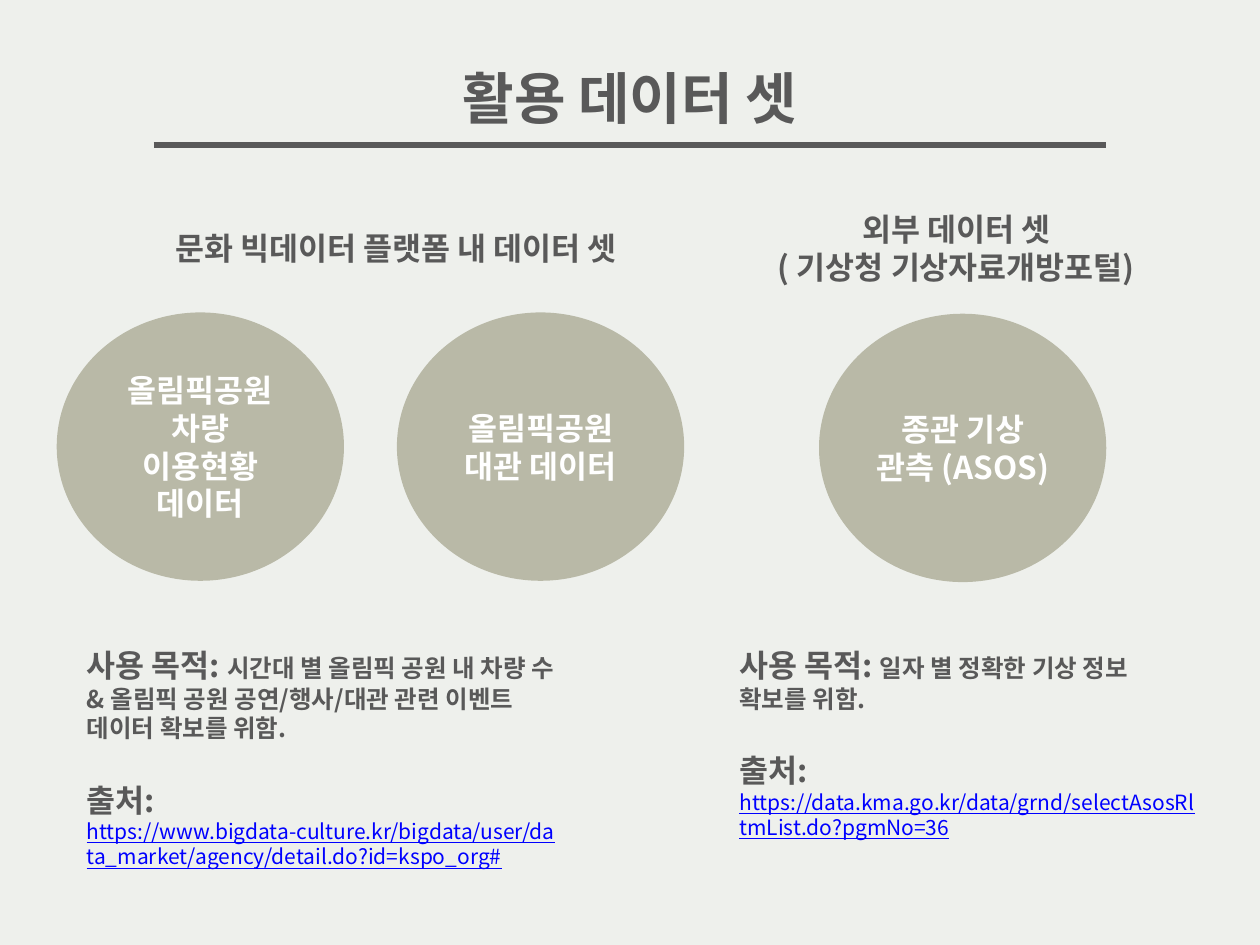
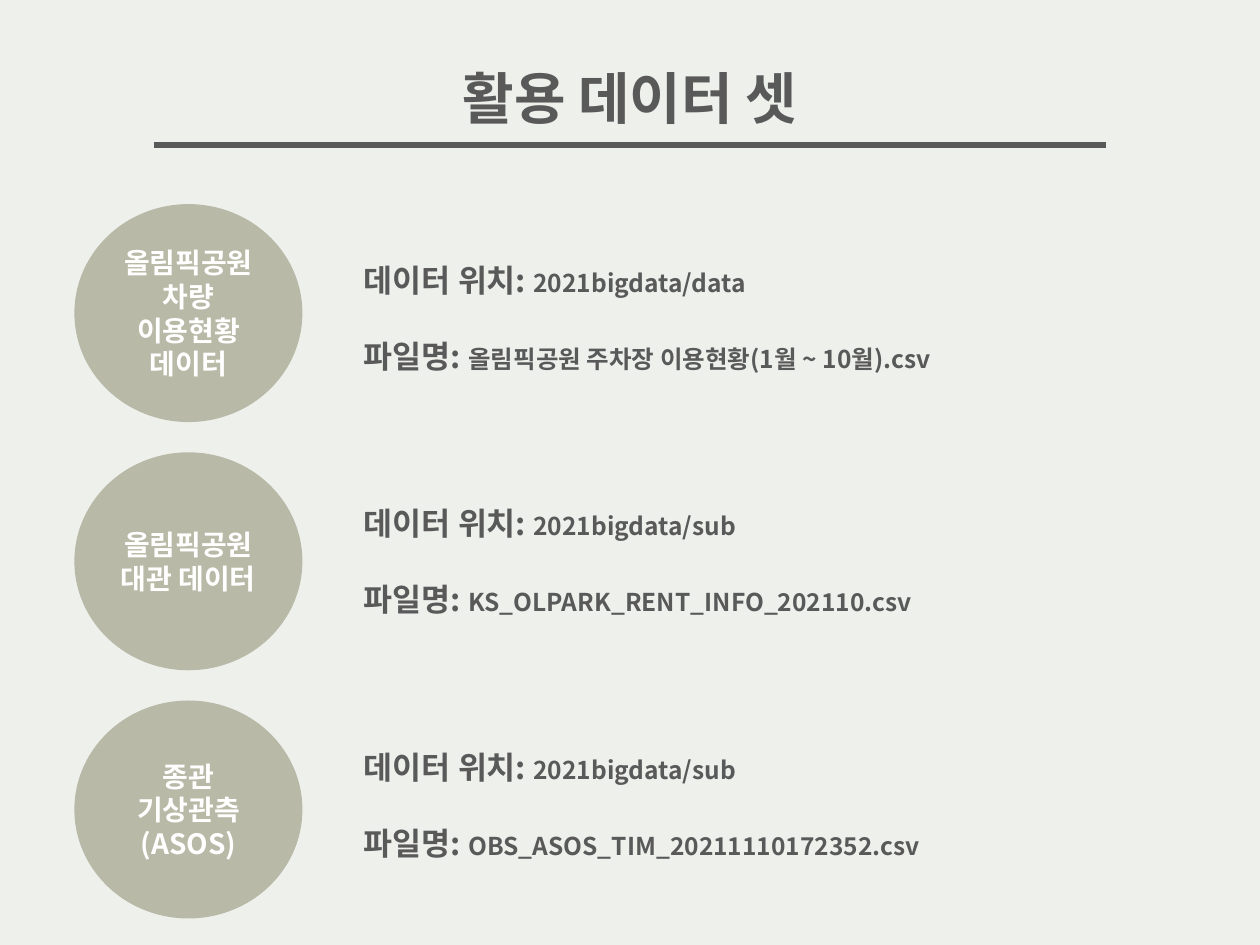
from dataclasses import dataclass
from typing import NamedTuple

from lxml.etree import SubElement
from pptx import Presentation
from pptx.dml.color import RGBColor as Rgb
from pptx.enum.shapes import MSO_CONNECTOR as Line, MSO_SHAPE as Shape
from pptx.enum.text import MSO_ANCHOR as Anchor, MSO_AUTO_SIZE as Fit, PP_ALIGN as Align
from pptx.oxml.ns import qn
from pptx.util import Pt

PX = 9144  # 100 px to the inch


@dataclass(frozen=True)
class Theme:
    font: str = "Noto Sans CJK KR"
    back: Rgb = Rgb(0xEE, 0xF0, 0xEC)
    ink: Rgb = Rgb(0x59, 0x59, 0x59)
    circle: Rgb = Rgb(0xB9, 0xB9, 0xA7)
    white: Rgb = Rgb(0xFF, 0xFF, 0xFF)
    link: Rgb = Rgb(0x00, 0x00, 0xFF)
    title: int = 32
    head: int = 18
    small_circle: int = 16
    body: int = 14
    url: int = 12
    rule: int = 3
    gap: float = 21.7


T = Theme()


class Style(NamedTuple):
    size: int
    color: Rgb = T.ink
    bold: bool = True
    underline: bool | None = None


TITLE = Style(T.title)
HEAD = Style(T.head)
BODY = Style(T.body)
URL = Style(T.url, T.link, False, True)
CIRCLE = Style(T.head, T.white)
SMALL_CIRCLE = Style(T.small_circle, T.white)


class Run(NamedTuple):
    text: str
    style: Style


class Box(NamedTuple):
    left: int
    top: int
    width: int
    height: int

    def emu(self) -> list[int]:
        return [v * PX for v in self]


class Circle(NamedTuple):
    box: Box
    lines: list[str]


class Heading(NamedTuple):
    box: Box
    lines: list[str]


class Source(NamedTuple):
    box: Box
    purpose: str
    url: str


class DataFile(NamedTuple):
    label: list[str]
    folder: str
    name: str


Paragraphs = list[list[Run]]

DATASET_CIRCLES = [
    Circle(Box(45, 248, 228, 213), ["올림픽공원 차량 이용현황 데이터"]),
    Circle(Box(315, 248, 228, 213), ["올림픽공원 대관 데이터"]),
    Circle(Box(650, 249, 228, 213), ["종관 기상", "관측 (ASOS)"]),
]
HEADINGS = [
    Heading(Box(101, 177, 427, 40), ["문화 빅데이터 플랫폼 내 데이터 셋"]),
    Heading(Box(592, 162, 334, 71), ["외부 데이터 셋", "( 기상청 기상자료개방포털)"]),
]
SOURCES = [
    Source(Box(59, 508, 397, 188),
           "시간대 별 올림픽 공원 내 차량 수 & 올림픽 공원 공연/행사/대관 관련 "
           "이벤트 데이터 확보를 위함.",
           "https://www.bigdata-culture.kr/bigdata/user/data_market/agency/"
           "detail.do?id=kspo_org#"),
    Source(Box(577, 508, 384, 165),
           "일자 별 정확한 기상 정보 확보를 위함.",
           "https://data.kma.go.kr/data/grnd/selectAsosRltmList.do?pgmNo=36"),
]
FILES = [
    DataFile(["올림픽공원 차량 이용현황 데이터"], "2021bigdata/data",
             "올림픽공원 주차장 이용현황(1월 ~ 10월).csv"),
    DataFile(["올림픽공원 대관 데이터"], "2021bigdata/sub",
             "KS_OLPARK_RENT_INFO_202110.csv"),
    DataFile(["종관", "기상관측 (ASOS)"], "2021bigdata/sub",
             "OBS_ASOS_TIM_20211110172352.csv"),
]


def set_all(target, values: dict) -> None:
    for name, value in values.items():
        setattr(target, name, value)


def write(tf, paragraphs: Paragraphs, align=Align.LEFT, gap: float = 0, **frame) -> None:
    """Fill a text frame; gap is the space in points between paragraphs."""
    set_all(tf, {"word_wrap": True, "vertical_anchor": Anchor.TOP, **frame})
    for i, runs in enumerate(paragraphs):
        p = tf.add_paragraph() if i else tf.paragraphs[0]
        p.alignment = align
        p.space_before = Pt(gap if i else 0)
        for text, style in runs:
            r = p.add_run()
            r.text = text
            set_all(r.font, {"name": T.font, "size": Pt(style.size),
                             "bold": style.bold, "underline": style.underline})
            r.font.color.rgb = style.color
            SubElement(r._r.get_or_add_rPr(), qn("a:ea"), typeface=T.font)


def one_style(lines: list[str], style: Style) -> Paragraphs:
    return [[Run(line, style)] for line in lines]


def add_text(s, box: Box, paragraphs: Paragraphs, **options) -> None:
    tf = s.shapes.add_textbox(*box.emu()).text_frame
    write(tf, paragraphs, auto_size=Fit.SHAPE_TO_FIT_TEXT, **options)


def add_circle(s, circle: Circle, style: Style) -> None:
    sp = s.shapes.add_shape(Shape.OVAL, *circle.box.emu())
    sp.shadow.inherit = False
    sp.fill.solid()
    sp.fill.fore_color.rgb = T.circle
    sp.line.fill.background()
    write(sp.text_frame, one_style(circle.lines, style), Align.CENTER,
          vertical_anchor=Anchor.MIDDLE)


def add_titled_slide(prs, title: str):
    """Add a slide with its centred title and the rule below it."""
    s = prs.slides.add_slide(prs.slide_layouts[5])
    sp = s.shapes.title
    set_all(sp, dict(zip(("left", "top", "width", "height"), Box(118, 45, 764, 64).emu())))
    write(sp.text_frame, one_style([title], TITLE), Align.CENTER, auto_size=Fit.NONE)
    rule = s.shapes.add_connector(Line.STRAIGHT, 122 * PX, 115 * PX, 878 * PX, 115 * PX)
    rule.line.color.rgb = T.ink
    rule.line.width = Pt(T.rule)
    SubElement(rule._element.spPr, qn("a:effectLst"))
    return s


def build_datasets(prs) -> None:
    s = add_titled_slide(prs, "활용 데이터 셋")
    for circle in DATASET_CIRCLES:
        add_circle(s, circle, CIRCLE)
    for box, lines in HEADINGS:
        add_text(s, box, one_style(lines, HEAD), align=Align.CENTER, word_wrap=False)
    for box, purpose, url in SOURCES:
        add_text(s, box, [[Run("사용 목적: ", HEAD), Run(purpose, BODY)],
                          [Run("출처: ", HEAD), Run(url, URL)]], gap=T.gap)


def build_files(prs) -> None:
    s = add_titled_slide(prs, "활용 데이터 셋")
    for i, (label, folder, name) in enumerate(FILES):
        add_circle(s, Circle(Box(59, 162 + 197 * i, 181, 173), label), SMALL_CIRCLE)
        add_text(s, Box(279, 202 + 387 * i // 2, 677, 101),
                 [[Run("데이터 위치: ", HEAD), Run(folder, BODY)],
                  [Run("파일명: ", HEAD), Run(name, BODY)]], gap=T.gap)


def main() -> None:
    prs = Presentation()
    set_all(prs, {"slide_width": 1000 * PX, "slide_height": 750 * PX})
    fill = prs.slide_master.background.fill
    fill.solid()
    fill.fore_color.rgb = T.back
    build_datasets(prs)
    build_files(prs)
    prs.save("out.pptx")


if __name__ == "__main__":
    main()
